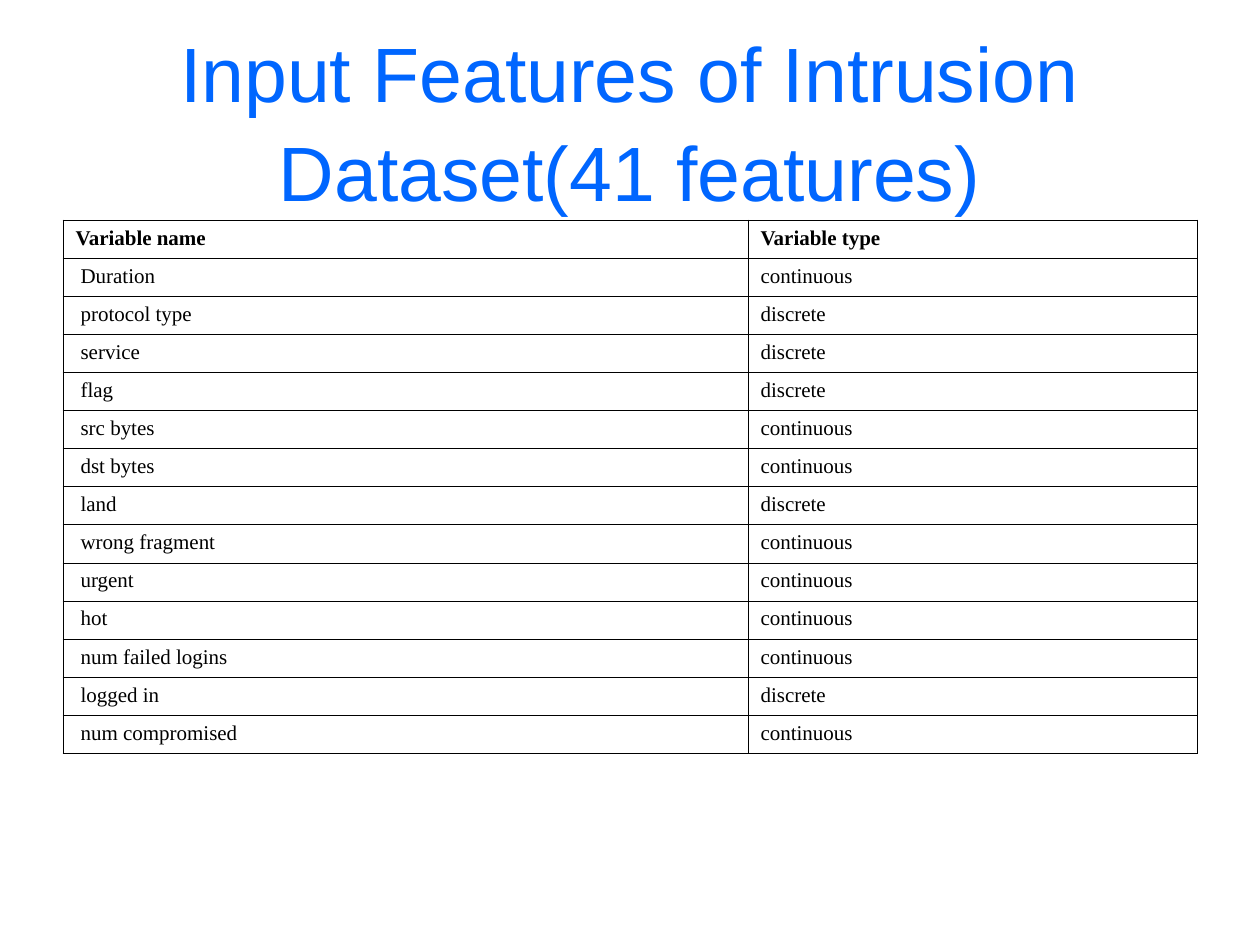
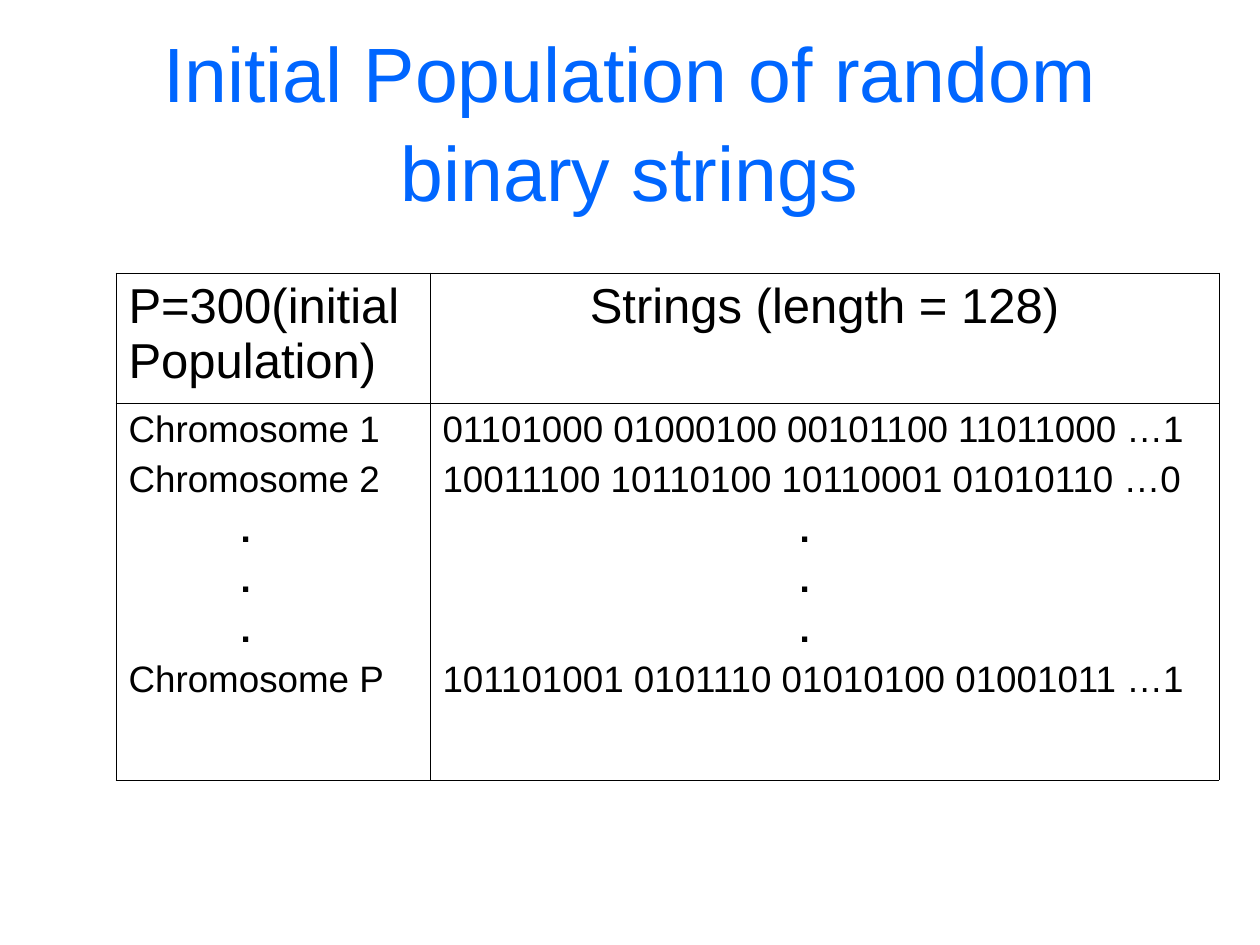
from lxml import etree
from pptx import Presentation
from pptx import util as u
from pptx.dml.color import RGBColor
from pptx.enum import text as t
from pptx.oxml import ns

COLORS = {"title": "0066FF", "ink": "000000", "paper": "FFFFFF"}
SANS, SERIF = "Arial", "Times New Roman"
PX_PER_INCH = 126
SLIDE_SIZE = (1260, 945)
TITLE_BOX = (63, 38, 1134, 157)
BORDER_PT = 0.45

FEATURES = {
    "title": "Input Features of Intrusion Dataset(41 features)",
    "at": (63, 220),
    "columns": (685, 449),
    "height": 534,
    "header": ("Variable name", "Variable type"),
    "rows": [
        ("Duration", "continuous"),
        ("protocol type", "discrete"),
        ("service", "discrete"),
        ("flag", "discrete"),
        ("src bytes", "continuous"),
        ("dst bytes", "continuous"),
        ("land", "discrete"),
        ("wrong fragment", "continuous"),
        ("urgent", "continuous"),
        ("hot", "continuous"),
        ("num failed logins", "continuous"),
        ("logged in", "discrete"),
        ("num compromised", "continuous"),
    ],
    "name_indent": 5,
}

POPULATION = {
    "title": "Initial Population of random binary strings",
    "at": (116, 273),
    "columns": (314, 789),
    "heights": (130, 377),
    "header": (("P=300(initial Population)", "left"), ("Strings (length = 128)", "center")),
    "chromosomes": ["Chromosome 1", "Chromosome 2", ".", ".", ".", "Chromosome P"],
    "strings": [
        "01101000 01000100 00101100 11011000 …1",
        "10011100 10110100 10110001 01010110 …0",
        ".", ".", ".",
        "101101001 0101110 01010100 01001011 …1",
    ],
    "dot_indents": (112, 357),
}

ALIGN = {"left": t.PP_ALIGN.LEFT, "center": t.PP_ALIGN.CENTER}


def px(length):
    return round(u.Inches(1) * length / PX_PER_INCH)


def write(paragraph, words, size=12, font=SANS, color="ink", bold=False,
          align="left", before=0, indent=0, spacing=None):
    run = paragraph.add_run()
    run.text = words
    run.font.size = u.Pt(size)
    run.font.name = font
    run.font.bold = bold
    run.font.color.rgb = RGBColor.from_string(COLORS[color])
    paragraph.alignment = ALIGN[align]
    paragraph.space_before = u.Pt(before)
    paragraph.line_spacing = spacing
    properties = paragraph._p.get_or_add_pPr()
    properties.set("marL", str(px(indent)))
    properties.set("indent", "0")


def outline(cell):
    properties = cell._tc.get_or_add_tcPr()
    for place, side in enumerate(("lnL", "lnR", "lnT", "lnB")):
        line = etree.Element(ns.qn(f"a:{side}"), w=str(u.Pt(BORDER_PT)))
        fill = etree.SubElement(line, ns.qn("a:solidFill"))
        etree.SubElement(fill, ns.qn("a:srgbClr"), val=COLORS["ink"])
        properties.insert(place, line)


def titled_slide(deck, words):
    slide = deck.slides.add_slide(deck.slide_layouts[5])
    title = slide.shapes.title
    title.left, title.top, title.width, title.height = map(px, TITLE_BOX)
    frame = title.text_frame
    frame.word_wrap = True
    frame.auto_size = t.MSO_AUTO_SIZE.NONE
    frame.vertical_anchor = t.MSO_ANCHOR.MIDDLE
    frame.margin_top = px(10)
    write(frame.paragraphs[0], words, size=44, color="title", align="center", spacing=1.07)
    return slide


def ruled_table(slide, at, columns, heights):
    box = (*at, sum(columns), sum(heights))
    table = slide.shapes.add_table(len(heights), len(columns), *map(px, box)).table
    table.first_row = table.horz_banding = False
    for column, width in zip(table.columns, columns):
        column.width = px(width)
    for row, height in zip(table.rows, heights):
        row.height = px(height)
    for cell in table.iter_cells():
        cell.fill.solid()
        cell.fill.fore_color.rgb = RGBColor.from_string(COLORS["paper"])
        outline(cell)
    return table


def features_slide(deck):
    slide = titled_slide(deck, FEATURES["title"])
    rows = [FEATURES["header"], *FEATURES["rows"]]
    heights = [FEATURES["height"] / len(rows)] * len(rows)
    table = ruled_table(slide, FEATURES["at"], FEATURES["columns"], heights)
    for r, row in enumerate(rows):
        for c, words in enumerate(row):
            write(table.cell(r, c).text_frame.paragraphs[0], words, font=SERIF, bold=r == 0,
                  indent=FEATURES["name_indent"] if r and c == 0 else 0)


def population_slide(deck):
    slide = titled_slide(deck, POPULATION["title"])
    table = ruled_table(slide, POPULATION["at"], POPULATION["columns"], POPULATION["heights"])
    for c, (words, align) in enumerate(POPULATION["header"]):
        write(table.cell(0, c).text_frame.paragraphs[0], words, size=28, align=align, before=7)
    for c, lines in enumerate((POPULATION["chromosomes"], POPULATION["strings"])):
        frame = table.cell(1, c).text_frame
        for n, words in enumerate(lines):
            paragraph = frame.add_paragraph() if n else frame.paragraphs[0]
            dot = words == "."
            write(paragraph, words, size=21, before=5.2, bold=dot,
                  indent=POPULATION["dot_indents"][c] if dot else 0)


def main():
    deck = Presentation()
    deck.slide_width, deck.slide_height = map(px, SLIDE_SIZE)
    features_slide(deck)
    population_slide(deck)
    deck.save("out.pptx")


if __name__ == "__main__":
    main()
